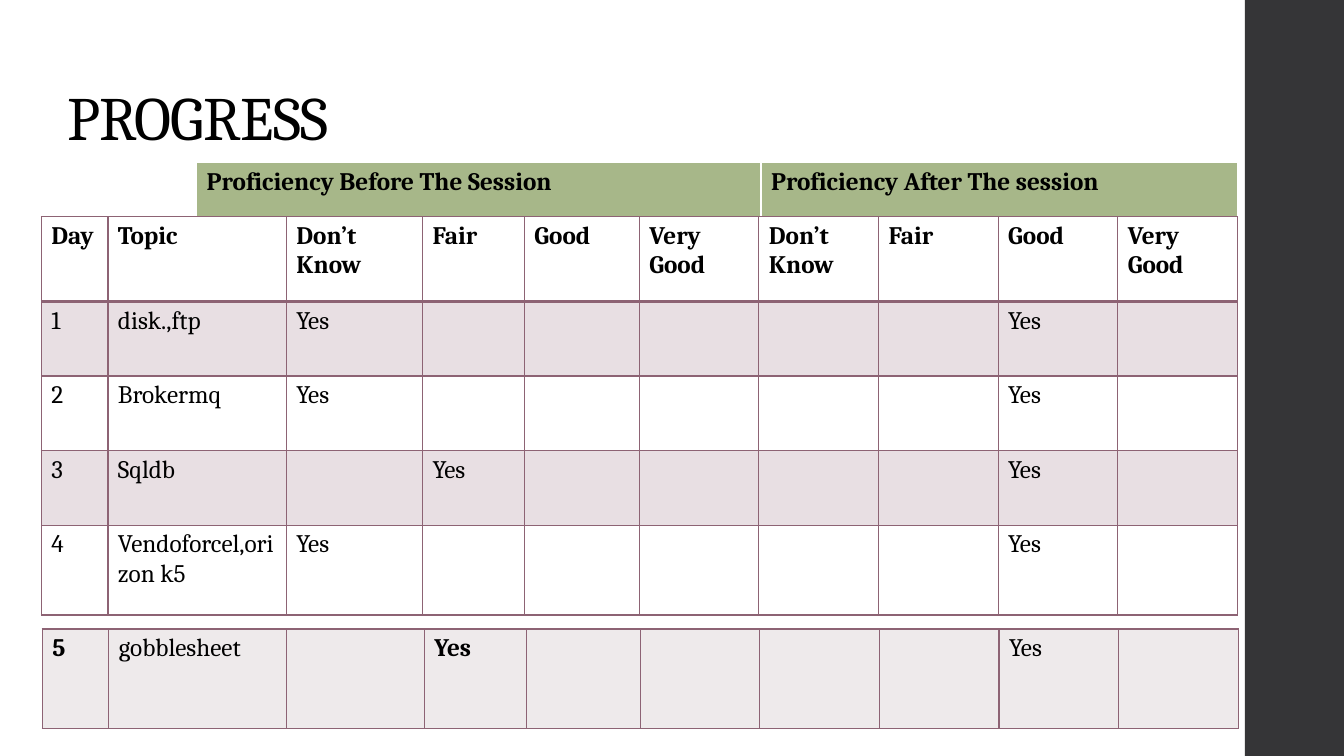
"""Build the PROGRESS slide: a title, a side bar and three stacked tables."""
from dataclasses import dataclass

from lxml.etree import SubElement as Sub
from pptx import Presentation as Deck
from pptx.dml.color import RGBColor as Color
from pptx.enum.shapes import MSO_SHAPE as Shape
from pptx.enum.text import MSO_ANCHOR as Anchor
from pptx.oxml.ns import qn
from pptx.util import Inches, Pt

WIDE, HIGH = Inches(13.333), Inches(7.5)
FONT = "Cambria"
BLACK = Color(0x00, 0x00, 0x00)
WHITE = Color(0xFF, 0xFF, 0xFF)
DARK = Color(0x35, 0x35, 0x37)
GREEN = Color(0xA7, 0xB7, 0x89)
PLUM = Color(0x8D, 0x63, 0x74)
PALE = Color(0xEE, 0xEA, 0xEB)
LEVELS = ["Don’t Know", "Fair", "Good", "Very Good"]


@dataclass
class Cell:
    text: str = ""
    bold: bool = False
    fill: Color | None = None
    alpha: int = 100
    base: float = 1


@dataclass
class Grid:
    left: float
    top: float
    cols: list[float]
    rows: list[float]
    edge: Color
    cells: list[list[Cell]]


@dataclass
class Topic:
    day: str
    name: str
    level: str
    bold: bool = False

    def cells(self, fill: Color | None, alpha: int = 100) -> list[Cell]:
        """Lay out one day: its level before, and Good after the session."""
        before = [("Yes" if level == self.level else "", self.bold) for level in LEVELS]
        after = [("Yes" if level == "Good" else "", False) for level in LEVELS]
        pairs = [(self.day, self.bold), (self.name, False), *before, *after]
        return [Cell(text, bold, fill, alpha) for text, bold in pairs]


def across(share: float) -> int:
    """Turn a percentage of the slide's width into a length."""
    return round(WIDE * share / 100)


def down(share: float) -> int:
    """Turn a percentage of the slide's height into a length."""
    return round(HIGH * share / 100)


def write(frame, text: str, *, size: float = 18, bold: bool = False,
          space: float | None = None, track: int | None = None) -> None:
    """Put one formatted paragraph into a text frame."""
    frame.word_wrap = True
    line = frame.paragraphs[0]
    line.line_spacing = space
    run = line.add_run()
    run.text = text
    font = run.font
    font.name, font.size, font.bold = FONT, Pt(size), bold
    font.color.rgb = BLACK
    if track is not None:
        run._r.get_or_add_rPr().set("spc", str(track))


def border(cell, color: Color, base: float) -> None:
    """Outline a cell, with its own width for the bottom edge."""
    props = cell._tc.get_or_add_tcPr()
    for side in "LRTB":
        width = base if side == "B" else 1
        line = Sub(props, qn(f"a:ln{side}"), w=str(Pt(width)))
        Sub(Sub(line, qn("a:solidFill")), qn("a:srgbClr"), val=str(color))


def paint(cell, color: Color | None, alpha: int) -> None:
    """Fill a cell, or leave it clear."""
    if color is None:
        cell.fill.background()
        return
    cell.fill.solid()
    cell.fill.fore_color.rgb = color
    if alpha < 100:
        tint = cell._tc.tcPr.find(qn("a:solidFill")).find(qn("a:srgbClr"))
        Sub(tint, qn("a:alpha"), val=str(alpha * 1000))


def draw(slide, grid: Grid) -> None:
    """Add a table to the slide."""
    table = slide.shapes.add_table(
        len(grid.rows), len(grid.cols), across(grid.left), down(grid.top),
        across(sum(grid.cols)), down(sum(grid.rows))).table
    table.first_row = table.horz_banding = False
    for col, share in zip(table.columns, grid.cols):
        col.width = across(share)
    for row, share, line in zip(table.rows, grid.rows, grid.cells):
        row.height = down(share)
        for cell, item in zip(row.cells, line):
            border(cell, grid.edge, item.base)
            paint(cell, item.fill, item.alpha)
            if item.text:
                write(cell.text_frame, item.text, bold=item.bold)


def main() -> None:
    """Compose and save the slide."""
    deck = Deck()
    deck.slide_width, deck.slide_height = WIDE, HIGH
    slide = deck.slides.add_slide(deck.slide_layouts[6])

    bar = slide.shapes.add_shape(Shape.RECTANGLE, across(92.63), 0, across(7.37), HIGH)
    bar.shadow.inherit = False
    bar.fill.solid()
    bar.fill.fore_color.rgb = DARK
    bar.line.fill.background()

    title = slide.shapes.add_textbox(across(4.28), down(5.33), across(85.58), down(15.73))
    title.text_frame.vertical_anchor = Anchor.BOTTOM
    write(title.text_frame, "PROGRESS", size=44, space=0.9, track=-50)

    bands = [Cell(f"Proficiency {part}", True, GREEN, base=3)
             for part in ("Before The Session", "After The session")]
    heads = [Cell(text, True, base=2) for text in ["Day", "Topic", *LEVELS, *LEVELS]]
    topics = [Topic("1", "disk.,ftp", "Don’t Know"),
              Topic("2", "Brokermq", "Don’t Know"),
              Topic("3", "Sqldb", "Fair"),
              Topic("4", "Vendoforcel,orizon k5", "Don’t Know")]
    days = [topic.cells(None if odd else PLUM, 100 if odd else 20)
            for topic, odd in zip(topics, [False, True] * 2)]
    last = Topic("5", "gobblesheet", "Fair", True).cells(PALE)

    same = [8.9] * 5
    for grid in (
        Grid(14.63, 21.47, [42, 35.48], [7.47], WHITE, [bands]),
        Grid(3.08, 28.67, [4.95, 13.28, 10.13, 7.58, 8.55, *same],
             [11.2, *[9.87] * 3, 11.87], PLUM, [heads, *days]),
        Grid(3.15, 83.2, [4.95, 13.2, 10.28, 7.58, 8.48, *same], [13.2], PLUM, [last]),
    ):
        draw(slide, grid)
    deck.save("out.pptx")


if __name__ == "__main__":
    main()
